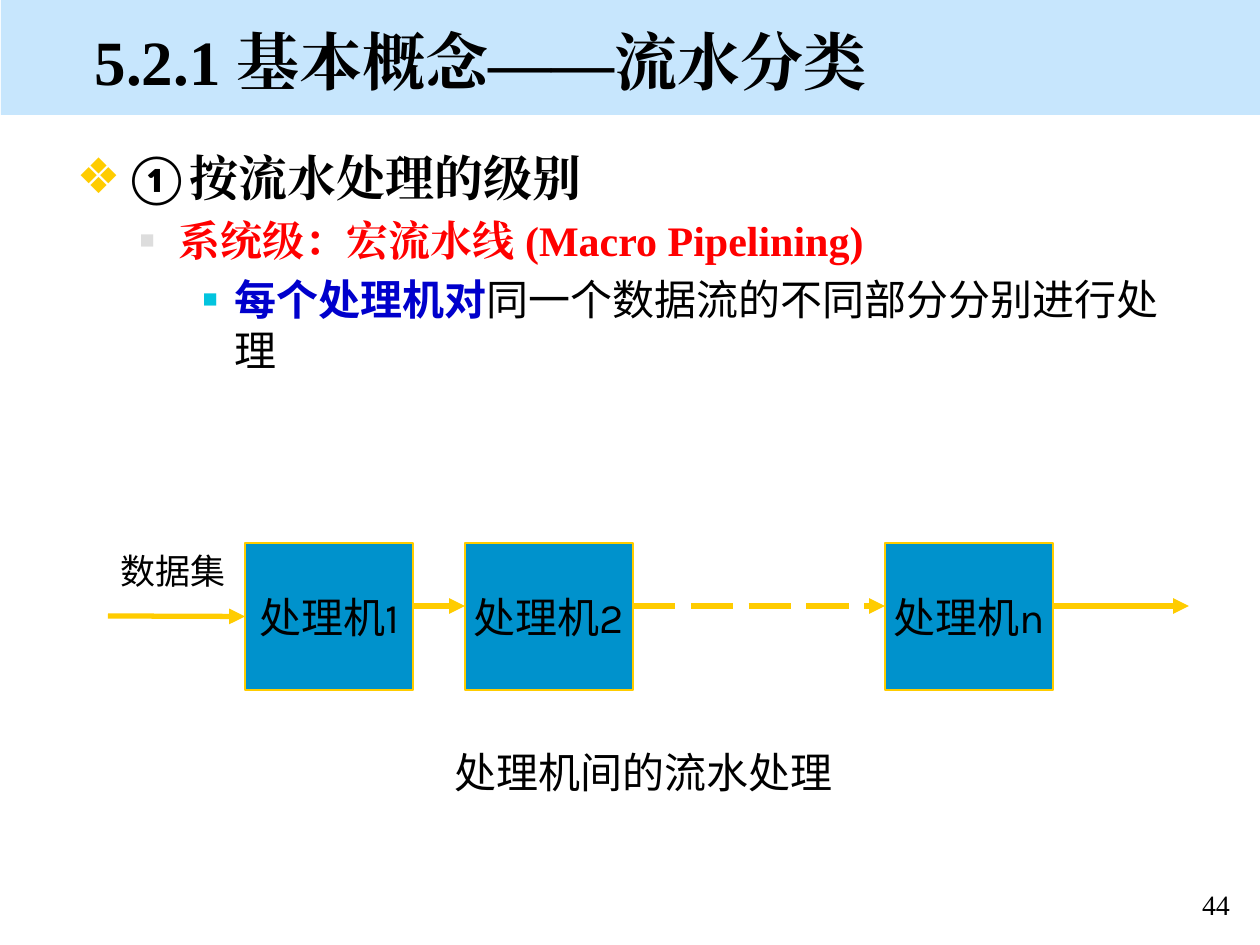
from pptx import Presentation
from pptx.dml.color import RGBColor as Rgb
from pptx.enum.dml import MSO_LINE as Dash
from pptx.enum.shapes import MSO_CONNECTOR as Conn, MSO_SHAPE as Form
from pptx.enum.text import MSO_ANCHOR as Anchor, MSO_AUTO_SIZE as Auto, PP_ALIGN as Align
from pptx.oxml.ns import qn
from pptx.oxml.xmlchemy import OxmlElement as Elem
from pptx.util import Pt

SCALE = 914400 / 126  # EMU in one px
HUE = dict(band="C7E6FD", box="0092CC", gold="FFCC00", black="000000",
           red="FF0000", blue="0000CC", gray="DDDDDD", cyan="02C4DE")
TIMES, KARLA, NOTO = "Times New Roman", "Karla", "Noto Sans CJK SC"


def emu(*vals):
    return [round(v * SCALE) for v in vals]


def rgb(name):
    return Rgb.from_string(HUE[name])


class Deck:
    def __init__(self, wide, high):
        self.prs = Presentation()
        self.prs.slide_width, self.prs.slide_height = emu(wide, high)
        self.slide = self.prs.slides.add_slide(self.prs.slide_layouts[1])
        self.shapes = self.slide.shapes

    def run(self, par, text, font, size, hue="black", bold=False):
        run = par.add_run()
        run.text = text
        for key, val in dict(name=font, size=Pt(size), bold=bold).items():
            setattr(run.font, key, val)
        run.font.color.rgb = rgb(hue)
        east = Elem("a:ea")
        east.set("typeface", font)
        run.font._element.find(qn("a:latin")).addnext(east)

    def place(self, shape, area):
        for key, val in zip(("left", "top", "width", "height"), emu(*area)):
            setattr(shape, key, val)

    def frame(self, shape, **style):
        base = dict(word_wrap=True, auto_size=Auto.NONE, vertical_anchor=Anchor.TOP)
        for key, val in (base | style).items():
            setattr(shape.text_frame, key, val)
        return shape.text_frame.paragraphs[0]

    def title(self, text, area):
        shape = self.shapes.title
        self.place(shape, area)
        par = self.frame(shape)
        par.alignment = Align.LEFT
        self.run(par, text, TIMES, 36, bold=True)

    def list(self, items, area):
        shape = self.slide.placeholders[1]
        self.place(shape, area)
        par = self.frame(shape)
        for num, (mark, hue, part, left, hang, runs) in enumerate(items):
            if num:
                par = shape.text_frame.add_paragraph()
            par.level = num
            par.space_before = Pt(5 if num else 0)
            self.bullet(par, mark, hue, part, left, hang)
            for item in runs:
                self.run(par, *item)

    def bullet(self, par, mark, hue, part, left, hang):
        props = par._p.get_or_add_pPr()
        for key, val in zip(("marL", "indent"), emu(left, -hang)):
            props.set(key, str(val))
        tint, size, char = Elem("a:buClr"), Elem("a:buSzPct"), Elem("a:buChar")
        color = Elem("a:srgbClr")
        color.set("val", HUE[hue])
        tint.append(color)
        size.set("val", str(part * 1000))
        char.set("char", mark)
        for node in (tint, size, char):
            props.append(node)

    def rect(self, area, fill, line=None):
        shape = self.shapes.add_shape(Form.RECTANGLE, *emu(*area))
        shape.shadow.inherit = False
        shape.fill.solid()
        shape.fill.fore_color.rgb = rgb(fill)
        if line:
            shape.line.color.rgb = rgb(line)
            shape.line.width = Pt(0.75)
        else:
            shape.line.fill.background()
        return shape

    def band(self, area, fill):
        shape = self.rect(area, fill)
        self.shapes._spTree.insert(2, shape._element)  # behind the title

    def node(self, text, area):
        shape = self.rect(area, "box", "gold")
        par = self.frame(shape, word_wrap=False, vertical_anchor=Anchor.MIDDLE)
        par.alignment = Align.CENTER
        self.run(par, text, KARLA, 24)
        return shape

    def label(self, text, area, font, size, align=Align.LEFT, **style):
        shape = self.shapes.add_textbox(*emu(*area))
        par = self.frame(shape, **style)
        par.alignment = align
        self.run(par, text, font, size)

    def arrow(self, start, end, y, dash=None, goal=None):
        line = self.shapes.add_connector(Conn.STRAIGHT, *emu(start, y, end, y))
        if goal is not None:
            line.end_connect(goal, 1)
        line.line.color.rgb = rgb("gold")
        line.line.width = Pt(3)
        if dash:
            line.line.dash_style = dash
        head = Elem("a:tailEnd")
        head.set("type", "triangle")
        line.line._get_or_add_ln().append(head)
        line._element.spPr.append(Elem("a:effectLst"))


def main():
    deck = Deck(1260, 945)

    # Heading and page number
    deck.band((1, 0, 1259, 115), "band")
    deck.title("5.2.1 基本概念——流水分类", (82, 16, 1081, 84))
    deck.label("44", (1172, 881, 88, 42), TIMES, 16, Align.CENTER)

    # Nested list
    deck.list([
        ("❖", "gold", 100, 48, 48, [
            ("①", "Calibri", 28, "black", True),
            ("按流水处理的级别", TIMES, 28, "black", True)]),
        ("■", "gray", 60, 102, 39, [
            ("系统级：宏流水线 (Macro Pipelining)", TIMES, 24, "red", True)]),
        ("■", "cyan", 60, 158, 32, [
            ("每个处理机对", NOTO, 24, "blue", True),
            ("同一个数据流的不同部分分别进行处理", NOTO, 24)]),
    ], (64, 141, 1134, 260))

    # Processors
    wide, high, top = 168, 147, 543
    lefts = dict(zip("12n", (245, 465, 885)))
    nodes = {key: deck.node("处理机" + key, (left, top, wide, high))
             for key, left in lefts.items()}

    # Data flow
    flow = 606
    deck.arrow(108, lefts["1"], top + high // 2, goal=nodes["1"])
    deck.arrow(lefts["1"] + wide, lefts["2"], flow)
    deck.arrow(lefts["2"] + wide, lefts["n"], flow, Dash.LONG_DASH)
    deck.arrow(lefts["n"] + wide, 1189, flow)

    # Captions
    grow = dict(word_wrap=False, auto_size=Auto.SHAPE_TO_FIT_TEXT)
    deck.label("数据集", (108, 543, 130, 54), KARLA, 20, **grow)
    deck.label("处理机间的流水处理", (442, 740, 403, 63), KARLA, 24, **grow)

    deck.prs.save("out.pptx")


if __name__ == "__main__":
    main()
